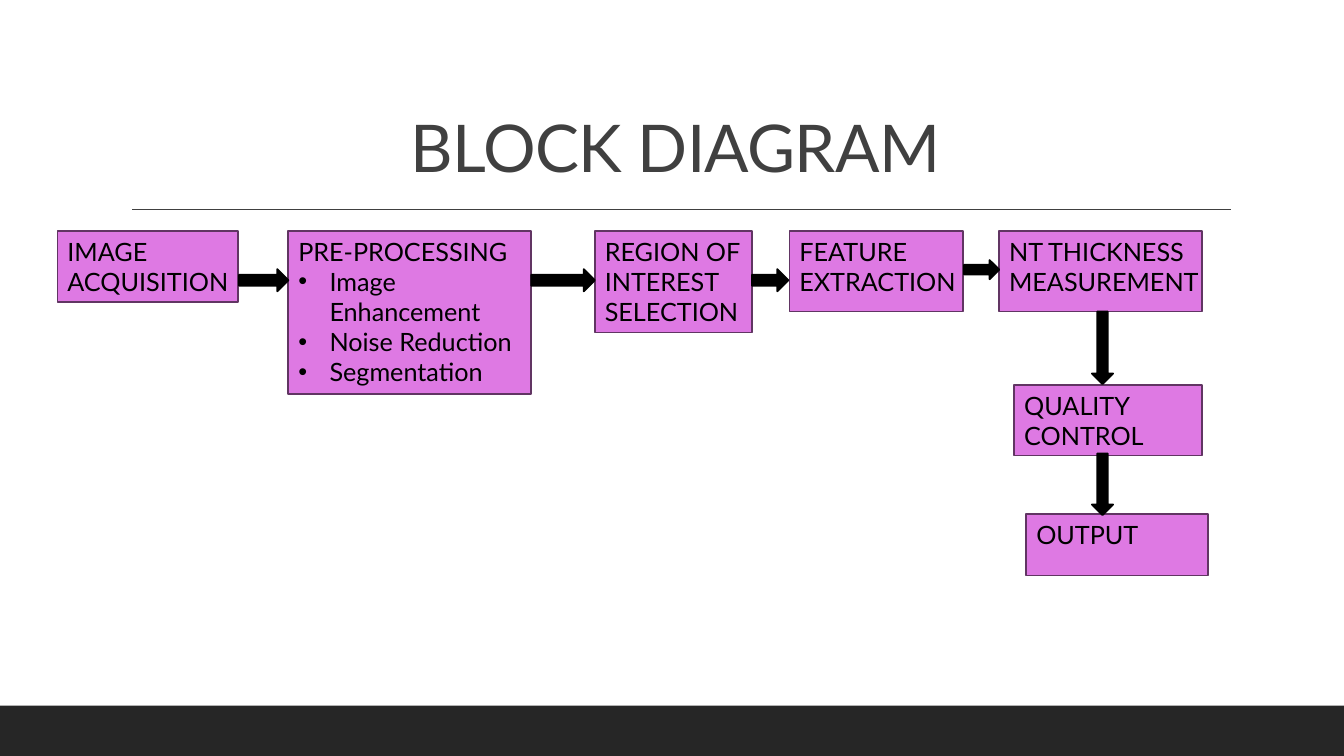
from dataclasses import dataclass

from lxml import etree
from pptx import Presentation
from pptx import util as u
from pptx.dml.color import RGBColor
from pptx.enum import shapes, text
from pptx.oxml import ns


@dataclass(frozen=True)
class Theme:
    font: str = "Lato"
    title_size: float = 47
    body_size: float = 18
    outline_width: float = 1.25
    rule_width: float = 1
    ink: str = "000000"
    title: str = "404040"
    footer: str = "262626"
    block: str = "DE79E3"
    block_outline: str = "613563"


@dataclass(frozen=True)
class Block:
    left: float
    top: float
    width: float
    height: float
    text_width: float
    text_height: float
    lines: tuple[str, ...]
    bullets: tuple[str, ...] = ()


@dataclass(frozen=True)
class Arrow:
    left: float
    top: float
    width: float
    height: float
    kind: shapes.MSO_SHAPE = shapes.MSO_SHAPE.RIGHT_ARROW


THEME = Theme()
ROW_TOP = 2.29
BULLET_INDENT = 0.31
DOWN = shapes.MSO_SHAPE.DOWN_ARROW

BLOCKS = (
    Block(0.57, ROW_TOP, 1.79, 0.71, 1.88, 0.71, ("IMAGE", "ACQUISITION")),
    Block(2.86, ROW_TOP, 2.41, 1.62, 2.55, 1.62, ("PRE-PROCESSING",),
          ("Image Enhancement", "Noise Reduction", "Segmentation")),
    Block(5.9, ROW_TOP, 1.56, 1.01, 1.64, 1.01, ("REGION OF INTEREST SELECTION",)),
    Block(7.83, ROW_TOP, 1.72, 0.8, 1.94, 0.71, ("FEATURE", "EXTRACTION")),
    Block(9.91, ROW_TOP, 2.01, 0.8, 2.2, 0.71, ("NT THICKNESS MEASUREMENT",)),
    Block(10.06, 3.82, 1.86, 0.7, 1.86, 0.71, ("QUALITY CONTROL",)),
    Block(10.18, 5.1, 1.8, 0.61, 1.8, 0.4, ("OUTPUT",)),
)

ARROWS = (
    Arrow(2.37, 2.67, 0.49, 0.22),
    Arrow(5.27, 2.67, 0.63, 0.22),
    Arrow(7.46, 2.67, 0.36, 0.22),
    Arrow(9.56, 2.58, 0.35, 0.19),
    Arrow(10.83, 3.09, 0.21, 0.72, DOWN),
    Arrow(10.83, 4.5, 0.21, 0.61, DOWN),
)


def add_filled(page, kind, left: float, top: float, width: float, height: float,
               fill: str, outline: str | None = None) -> None:
    shape = page.shapes.add_shape(
        kind, u.Inches(left), u.Inches(top), u.Inches(width), u.Inches(height))
    shape.shadow.inherit = False
    shape.fill.solid()
    shape.fill.fore_color.rgb = RGBColor.from_string(fill)
    if outline is None:
        shape.line.fill.background()
    else:
        shape.line.color.rgb = RGBColor.from_string(outline)
        shape.line.width = u.Pt(THEME.outline_width)


def add_text(page, left: float, top: float, width: float, height: float,
             lines: tuple[str, ...], size: float, color: str):
    box = page.shapes.add_textbox(
        u.Inches(left), u.Inches(top), u.Inches(width), u.Inches(height))
    frame = box.text_frame
    frame.word_wrap = True
    frame.text = "\n".join(lines)
    for para in frame.paragraphs:
        for span in para.runs:
            span.font.name = THEME.font
            span.font.size = u.Pt(size)
            span.font.color.rgb = RGBColor.from_string(color)
    return frame


def add_bullet(para) -> None:
    properties = para._p.get_or_add_pPr()
    indent = u.Inches(BULLET_INDENT)
    properties.set("marL", str(indent))
    properties.set("indent", str(-indent))
    etree.SubElement(properties, ns.qn("a:buFont"), typeface="Arial")
    etree.SubElement(properties, ns.qn("a:buChar"), char="•")


def add_title(page) -> None:
    frame = add_text(page, 1.2, 0.31, 11, 1.59, ("BLOCK DIAGRAM",),
                     THEME.title_size, THEME.title)
    frame.vertical_anchor = text.MSO_ANCHOR.BOTTOM
    para = frame.paragraphs[0]
    para.alignment = text.PP_ALIGN.CENTER
    para.line_spacing = 0.9
    para.runs[0]._r.get_or_add_rPr().set("spc", "-50")


def add_rule(page) -> None:
    rule = page.shapes.add_connector(
        shapes.MSO_CONNECTOR.STRAIGHT,
        u.Inches(1.31), u.Inches(2.08), u.Inches(12.21), u.Inches(2.08))
    rule.line.color.rgb = RGBColor.from_string(THEME.title)
    rule.line.width = u.Pt(THEME.rule_width)
    etree.SubElement(rule._element.spPr, ns.qn("a:effectLst"))


def add_block(page, block: Block) -> None:
    add_filled(page, shapes.MSO_SHAPE.RECTANGLE, block.left, block.top,
               block.width, block.height, THEME.block, THEME.block_outline)
    frame = add_text(page, block.left, block.top, block.text_width, block.text_height,
                     block.lines + block.bullets, THEME.body_size, THEME.ink)
    frame.auto_size = text.MSO_AUTO_SIZE.SHAPE_TO_FIT_TEXT
    for para in frame.paragraphs[len(block.lines):]:
        add_bullet(para)


def add_arrow(page, arrow: Arrow) -> None:
    add_filled(page, arrow.kind, arrow.left, arrow.top, arrow.width, arrow.height,
               THEME.ink, THEME.ink)


def main() -> None:
    deck = Presentation()
    deck.slide_width = u.Inches(13.33)
    deck.slide_height = u.Inches(7.5)
    page = deck.slides.add_slide(deck.slide_layouts[6])

    # Footer band, rule and title
    add_filled(page, shapes.MSO_SHAPE.RECTANGLE, 0, 7, 13.33, 0.5, THEME.footer)
    add_rule(page)
    add_title(page)

    # Processing stages
    for block in BLOCKS:
        add_block(page, block)

    # Flow between stages
    for arrow in ARROWS:
        add_arrow(page, arrow)

    deck.save("out.pptx")


if __name__ == "__main__":
    main()
